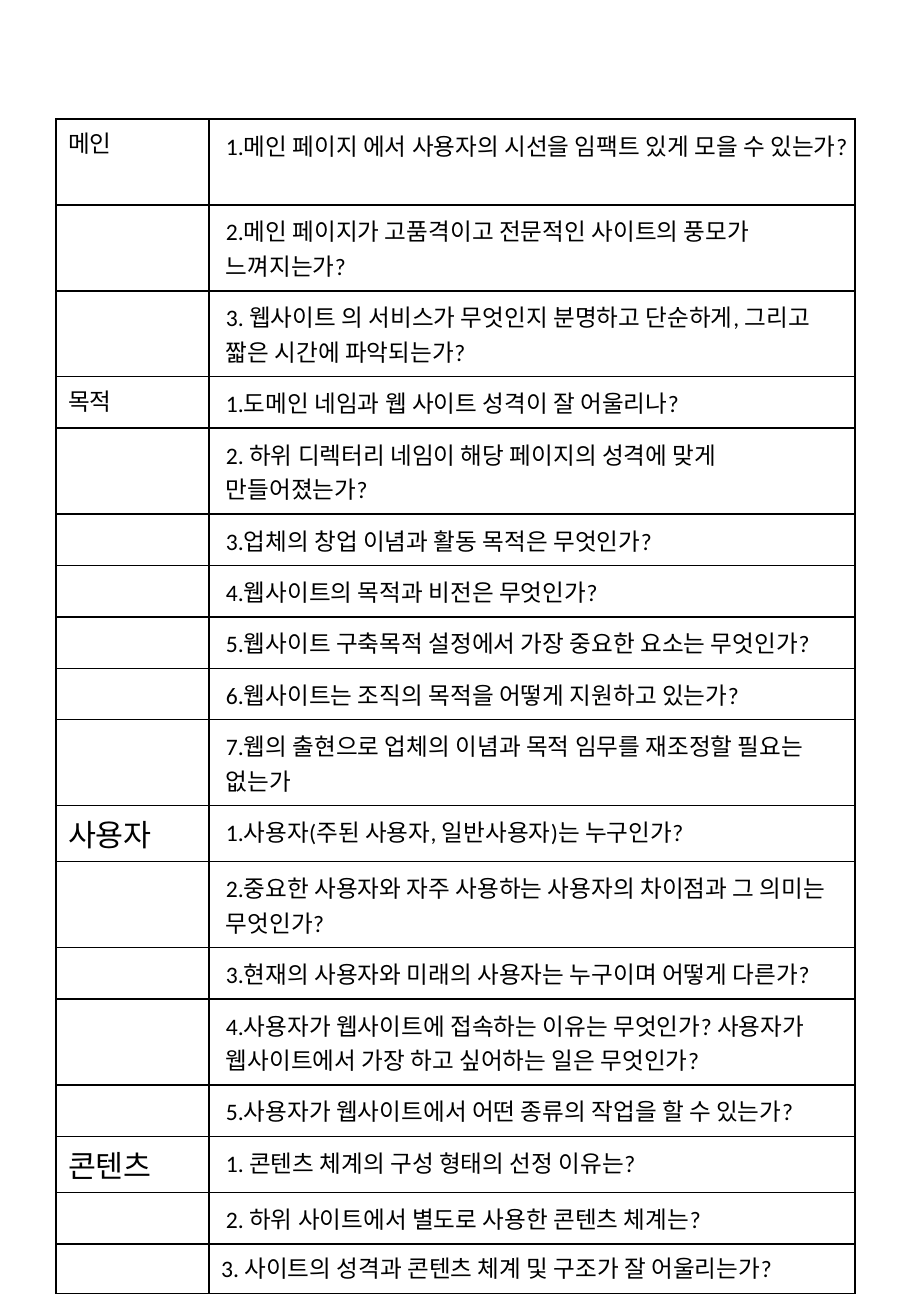
from dataclasses import dataclass

from lxml import etree
from pptx import Presentation
from pptx import util as u
from pptx.dml.color import RGBColor
from pptx.oxml import ns


@dataclass(frozen=True)
class Theme:
    font: str = "Calibri"
    ink: str = "000000"
    body: int = 14
    large: int = 18
    line: int = 1


class Page:
    """Holds the theme and the current slide."""

    def __init__(self, deck, theme):
        self.theme = theme
        self.slide = deck.slides.add_slide(deck.slide_layouts[6])

    def table(self, left, top, widths, height, rows):
        frame = self.slide.shapes.add_table(
            rows, len(widths), u.Inches(left), u.Inches(top),
            u.Inches(sum(widths)), u.Inches(height * rows))
        grid = frame.table
        grid.first_row = grid.horz_banding = False
        for col, width in zip(grid.columns, widths):
            col.width = u.Inches(width)
        for row in grid.rows:
            row.height = u.Inches(height)
            for cell in row.cells:
                self.border(cell)
                cell.fill.background()
        return grid

    def border(self, cell):
        props = cell._tc.get_or_add_tcPr()
        for side in ("lnL", "lnR", "lnT", "lnB"):
            line = etree.SubElement(props, ns.qn(f"a:{side}"),
                                    w=str(u.Pt(self.theme.line)))
            fill = etree.SubElement(line, ns.qn("a:solidFill"))
            etree.SubElement(fill, ns.qn("a:srgbClr"), val=self.theme.ink)

    def label(self, cell, words, size, inset=False):
        if inset:
            cell.margin_left = cell.margin_right = u.Inches(0.14)
            cell.margin_top = cell.margin_bottom = u.Inches(0.07)
        cell.text = words
        font = cell.text_frame.paragraphs[0].font
        font.name = self.theme.font
        font.size = u.Pt(size)
        font.color.rgb = RGBColor.from_string(self.theme.ink)


THEME = Theme()

# Checklist: topic, topic size, questions
TOPICS = [
    ("메인", THEME.body, [
        "1.메인 페이지 에서 사용자의 시선을 임팩트 있게 모을 수 있는가?",
        "2.메인 페이지가 고품격이고 전문적인 사이트의 풍모가 느껴지는가?",
        "3. 웹사이트 의 서비스가 무엇인지 분명하고 단순하게, 그리고 짧은 시간에 파악되는가?",
    ]),
    ("목적", THEME.body, [
        "1.도메인 네임과 웹 사이트 성격이 잘 어울리나?",
        "2. 하위 디렉터리 네임이 해당 페이지의 성격에 맞게 만들어졌는가?",
        "3.업체의 창업 이념과 활동 목적은 무엇인가?",
        "4.웹사이트의 목적과 비전은 무엇인가?",
        "5.웹사이트 구축목적 설정에서 가장 중요한 요소는 무엇인가?",
        "6.웹사이트는 조직의 목적을 어떻게 지원하고 있는가?",
        "7.웹의 출현으로 업체의 이념과 목적 임무를 재조정할 필요는 없는가",
    ]),
    ("사용자", THEME.large, [
        "1.사용자(주된 사용자, 일반사용자)는 누구인가?",
        "2.중요한 사용자와 자주 사용하는 사용자의 차이점과 그 의미는 무엇인가?",
        "3.현재의 사용자와 미래의 사용자는 누구이며 어떻게 다른가?",
        "4.사용자가 웹사이트에 접속하는 이유는 무엇인가? "
        "사용자가 웹사이트에서 가장 하고 싶어하는 일은 무엇인가?",
        "5.사용자가 웹사이트에서 어떤 종류의 작업을 할 수 있는가?",
    ]),
    ("콘텐츠", THEME.large, [
        "1. 콘텐츠 체계의 구성 형태의 선정 이유는?",
        "2. 하위 사이트에서 별도로 사용한 콘텐츠 체계는?",
        "3. 사이트의 성격과 콘텐츠 체계 및 구조가 잘 어울리는가?",
    ]),
]


def main():
    deck = Presentation()
    deck.slide_width, deck.slide_height = u.Inches(7.5), u.Inches(10.83)
    page = Page(deck, THEME)

    # Empty ruled table
    count = sum(len(asks) for _, _, asks in TOPICS)
    grid = page.table(0.46, 0.98, (1.26, 5.32), 0.41, count)

    # Topics on the left, questions on the right; the last row is not inset
    row = 0
    for topic, size, asks in TOPICS:
        page.label(grid.cell(row, 0), topic, size)
        for ask in asks:
            page.label(grid.cell(row, 1), ask, THEME.body,
                       inset=row < count - 1)
            row += 1

    deck.save("out.pptx")


if __name__ == "__main__":
    main()
